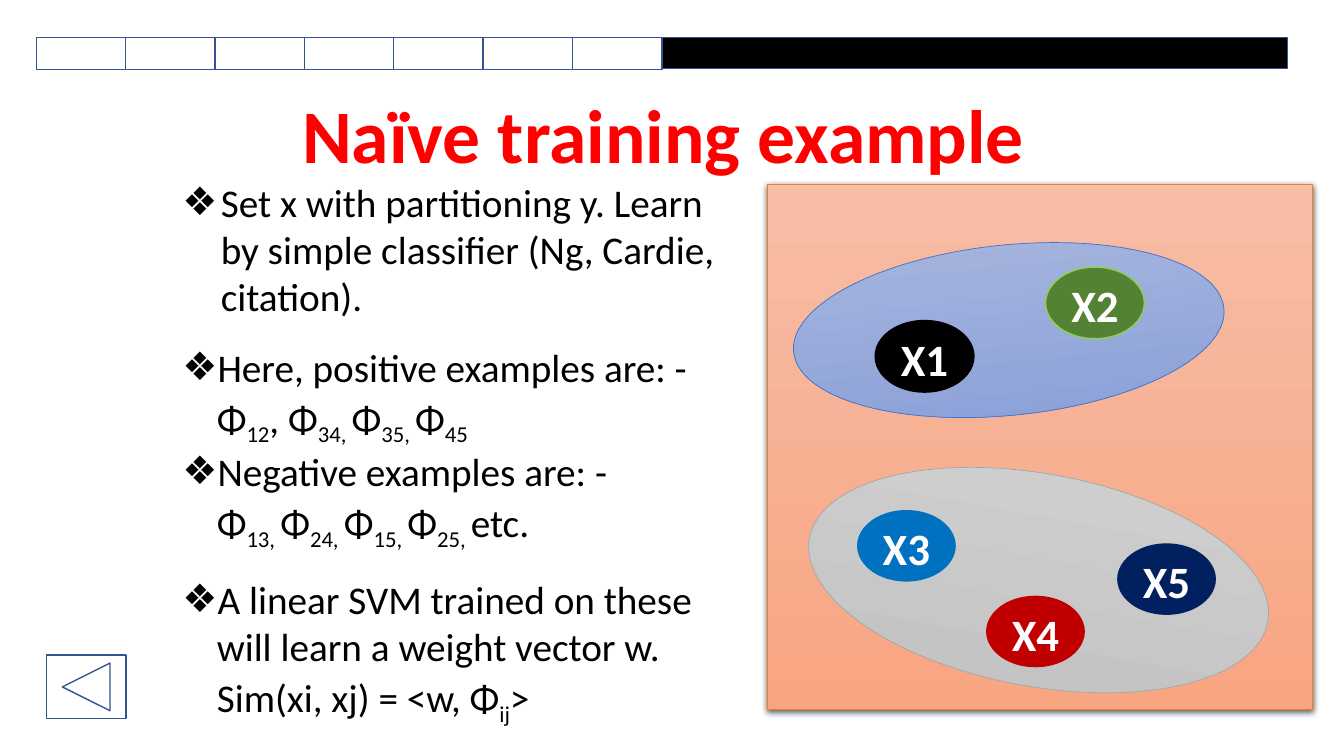
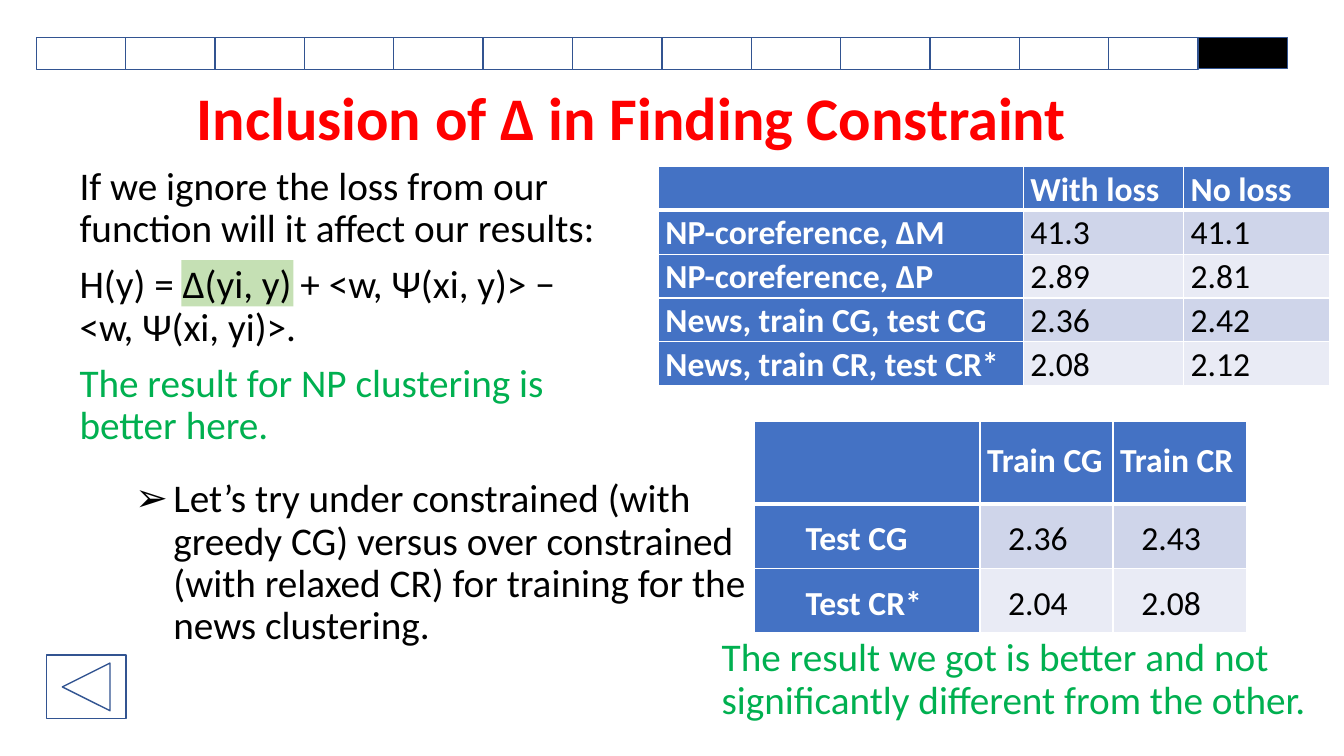
from pptx import Presentation
from pptx.dml.color import RGBColor
from pptx.enum.shapes import MSO_SHAPE
from pptx.enum.text import MSO_ANCHOR, MSO_AUTO_SIZE, PP_ALIGN
from pptx.oxml import parse_xml
from pptx.oxml.ns import nsdecls
from pptx.util import Inches, Pt

HUES = {
    "black": "000000", "white": "FFFFFF", "red": "FF0000", "green": "00B050",
    "edge": "325491", "head": "4472C4", "odd": "CFD5EA", "even": "E9EBF5",
    "mark": "C5E0B4", "navy": "002060", "wine": "C00000", "blue": "0070C0",
    "moss": "548235", "lime": "92D050", "rust": "ED7D31", "gray": "A5A5A5",
    "peach": "F7BDA5", "coral": "F8A582", "sky": "A8B7DF", "steel": "889ED7",
    "silver": "D2D2D2", "ash": "C0C0C0",
}
FONT = "Calibri"
STEPS = 14
BAND = (0.36, 0.37, 12.41, 0.31)
THIN = (0.07, 0)


def hue(name):
    """Return the colour with this name."""
    return RGBColor.from_string(HUES[name])


def place(shape, at):
    """Move and size a shape in inches."""
    shape.left, shape.top, shape.width, shape.height = map(Inches, at)


def paint(shape, fill):
    """Fill with nothing, one colour or a pair from top to bottom."""
    if fill is None:
        shape.fill.background()
    elif isinstance(fill, tuple):
        shape.fill.gradient()
        shape.fill.gradient_angle = 270
        for stop, name in zip(shape.fill.gradient_stops, fill):
            stop.color.rgb = hue(name)
    else:
        shape.fill.solid()
        shape.fill.fore_color.rgb = hue(fill)


def draw(slide, kind, at, fill=None, line=None, width=1, spin=0):
    """Add a preset shape."""
    shape = slide.shapes.add_shape(kind, *map(Inches, at))
    shape.shadow.inherit = False
    shape.rotation = spin
    paint(shape, fill)
    if line:
        shape.line.color.rgb = hue(line)
        shape.line.width = Pt(width)
    else:
        shape.line.fill.background()
    return shape


def style(para, size, color, bold=False, align=PP_ALIGN.LEFT, lead=1.0, before=0, after=0):
    """Set the font and spacing of a paragraph."""
    font = para.font
    font.name, font.size, font.bold = FONT, Pt(size), bold
    font.color.rgb = hue(color)
    para.alignment, para.line_spacing = align, lead
    para.space_before, para.space_after = Pt(before), Pt(after)


def dent(para, left, mark=None):
    """Indent a paragraph, with a hanging bullet if a mark is given."""
    props = para._p.get_or_add_pPr()
    props.set("marL", str(Inches(left)))
    props.set("indent", str(-Inches(left) if mark else 0))
    if mark:
        props.append(parse_xml(f'<a:buChar {nsdecls("a")} char="{mark}"/>'))


def write(para, text):
    """Add runs, with parts between underscores set as subscripts."""
    for i, part in enumerate(text.split("_")):
        if part:
            run = para.add_run()
            run.text = part
            if i % 2:
                run.font._element.set("baseline", "-25000")


def rows(frame, count):
    """Yield the wanted number of paragraphs of a text frame."""
    for i in range(count):
        yield frame.add_paragraph() if i else frame.paragraphs[0]


def setup(frame, anchor=MSO_ANCHOR.TOP):
    """Wrap the text at its own size."""
    frame.word_wrap = True
    frame.auto_size = MSO_AUTO_SIZE.NONE
    frame.vertical_anchor = anchor
    return frame


def title(slide, text, at, size):
    """Fill the title placeholder."""
    shape = slide.shapes.title
    place(shape, at)
    para = setup(shape.text_frame, MSO_ANCHOR.BOTTOM).paragraphs[0]
    write(para, text)
    style(para, size, "red", True, PP_ALIGN.CENTER, 0.9)


def body(slide, at, items, before=0):
    """Fill the body placeholder with (text, indent, mark, spacing) items."""
    shape = slide.placeholders[1]
    place(shape, at)
    frame = setup(shape.text_frame)
    for para, (text, left, mark, lead) in zip(rows(frame, len(items)), items):
        dent(para, left, mark)
        write(para, text)
        style(para, 28, "black", lead=lead, before=before)


def note(slide, at, items, top=0.05):
    """Add a text box of (text, colour) paragraphs."""
    frame = setup(slide.shapes.add_textbox(*map(Inches, at)).text_frame)
    frame.margin_top = Inches(top)
    for para, (text, color) in zip(rows(frame, len(items)), items):
        write(para, text)
        style(para, 28, color, lead=0.9, before=10)


def frame(slide, done):
    """Add the progress band and the back button."""
    left, top, width, high = BAND
    step = width / STEPS
    draw(slide, MSO_SHAPE.RECTANGLE, BAND, "black", "edge")
    for i in range(done):
        at = (left + i * step, top, step, high + 0.01)
        draw(slide, MSO_SHAPE.RECTANGLE, at, "white", "edge")
    draw(slide, MSO_SHAPE.ACTION_BUTTON_BACK_OR_PREVIOUS, (0.46, 6.5, 0.79, 0.63), line="edge")


def node(slide, text, left, top, fill, line=None):
    """Add a labelled point of a cluster."""
    shape = draw(slide, MSO_SHAPE.OVAL, (left, top, 0.98, 0.71), fill, line)
    text_frame = setup(shape.text_frame, MSO_ANCHOR.MIDDLE)
    text_frame.margin_left = text_frame.margin_right = Inches(0.04)
    para = text_frame.paragraphs[0]
    write(para, text)
    style(para, 32, "white", True, PP_ALIGN.CENTER, 1.07, after=8)


def shade(shape):
    """Drop a soft shadow below a shape."""
    shape._element.spPr.find("{*}effectLst").append(parse_xml(
        f'<a:outerShdw {nsdecls("a")} blurRad="{Pt(4.5)}" dist="{Pt(1.5)}" dir="5400000">'
        f'<a:srgbClr val="{HUES["black"]}"><a:alpha val="63000"/></a:srgbClr></a:outerShdw>'))


def edge(cell, head):
    """Rule a cell in white, thicker under the header."""
    props = cell._tc.get_or_add_tcPr()
    for side in "LRTB":
        width = Pt(3 if head and side == "B" else 1)
        props.append(parse_xml(
            f'<a:ln{side} {nsdecls("a")} w="{width}"><a:solidFill>'
            f'<a:srgbClr val="{HUES["white"]}"/></a:solidFill></a:ln{side}>'))


def grid(slide, at, wide, high, data, top=THIN, side=THIN, value=THIN):
    """Add a table; top, side and value are (left, top) cell insets."""
    table = slide.shapes.add_table(len(high), len(wide), *map(Inches, at)).table
    table.first_row = table.horz_banding = False
    for col, width in zip(table.columns, wide):
        col.width = Inches(width)
    for r, (row, tall) in enumerate(zip(table.rows, high)):
        row.height = Inches(tall)
        for c, (cell, text) in enumerate(zip(row.cells, data[r])):
            bold = r == 0 or c == 0
            inset = top if r == 0 else side if c == 0 else value
            edge(cell, r == 0)
            paint(cell, "head" if bold else "odd" if r % 2 else "even")
            cell.margin_left, cell.margin_top = map(Inches, inset)
            cell.margin_right, cell.margin_bottom = map(Inches, THIN)
            para = cell.text_frame.paragraphs[0]
            write(para, text)
            style(para, 24, "white" if bold else "black", bold, lead=1.07, after=8)


def train(slide):
    """Build the training example."""
    frame(slide, 7)
    title(slide, "Naïve training example", (1.58, 0.87, 10, 0.96), 54)
    body(slide, (1.71, 1.72, 5.64, 5.55), [
        ("Set x with partitioning y. Learn by simple classifier (Ng, Cardie, citation).", 0.38, "❖", 1.0),
        ("Here, positive examples are: -", 0.34, "❖", 1.5),
        ("Φ_12_, Φ_34, _Φ_35, _Φ_45_", 0.34, None, 1.07),
        ("Negative examples are: -", 0.34, "❖", 1.0),
        ("Φ_13, _Φ_24, _Φ_15, _Φ_25, _etc.", 0.34, None, 1.07),
        ("A linear SVM trained on these", 0.34, "❖", 1.5),
        ("will learn a weight vector w.", 0.34, None, 1.0),
        ("Sim(xi, xj) = <w, Φ_ij_>", 0.34, None, 1.07),
    ])
    panel = draw(slide, MSO_SHAPE.RECTANGLE, (7.61, 1.83, 5.41, 5.21), ("peach", "coral"), "rust", 0.5)
    shade(panel)
    draw(slide, MSO_SHAPE.OVAL, (7.86, 2.43, 4.29, 1.69), ("sky", "steel"), "head", 0.5, 354.2)
    draw(slide, MSO_SHAPE.OVAL, (7.99, 4.7, 4.62, 2.11), ("silver", "ash"), "gray", 0.5, 10.4)
    node(slide, "X1", 8.68, 3.18, "black", "black")
    node(slide, "X2", 10.37, 2.65, "moss", "lime")
    node(slide, "X3", 8.5, 5.06, "blue")
    node(slide, "X4", 9.78, 5.91, "wine")
    node(slide, "X5", 11.08, 5.39, "navy")


def loss(slide):
    """Build the comparison of losses."""
    frame(slide, 13)
    title(slide, "Inclusion of Δ in Finding Constraint", (0.77, 0.79, 10.99, 0.78), 43.2)
    draw(slide, MSO_SHAPE.RECTANGLE, (1.8, 2.58, 1.11, 0.46), "mark")
    note(slide, (0.69, 1.65, 5.49, 2.97), [
        ("If we ignore the loss from our function will it affect our results:", "black"),
        ("H(y) = ∆(yi, y) + <w, Ψ(xi, y)> − <w, Ψ(xi, yi)>.", "black"),
        ("The result for NP clustering is better here.", "green"),
    ], 0)
    body(slide, (1.24, 4.7, 6.4, 1.93), [
        ("Let’s try under constrained (with greedy CG) versus over constrained "
         "(with relaxed CR) for training for the news clustering.", 0.38, "➢", 0.9),
    ], 10)
    grid(slide, (6.53, 1.65, 6.66, 2.13), (3.62, 1.59, 1.45), [0.43] * 5, [
        ("", "With loss", "No loss"),
        ("NP-coreference, ΔM", "41.3", "41.1"),
        ("NP-coreference, ΔP", "2.89", "2.81"),
        ("News, train CG, test CG", "2.36", "2.42"),
        ("News, train CR, test CR*", "2.08", "2.12"),
    ])
    grid(slide, (7.48, 4.18, 4.89, 2.1), (2.24, 1.32, 1.32), (0.82, 0.64, 0.64), [
        ("", "Train CG", "Train CR"),
        ("Test CG", "2.36", "2.43"),
        ("Test CR*", "2.04", "2.08"),
    ], (0.07, 0.16), (0.51, 0.12), (0.28, 0.12))
    note(slide, (7.06, 6.28, 6.06, 1.03), [
        ("The result we got is better and not significantly different from the other.", "green"),
    ])


def main():
    """Build and save the slides."""
    deck = Presentation()
    deck.slide_width, deck.slide_height = Inches(13.33), Inches(7.5)
    for build in (train, loss):
        build(deck.slides.add_slide(deck.slide_layouts[0]))
    deck.save("out.pptx")


main()
